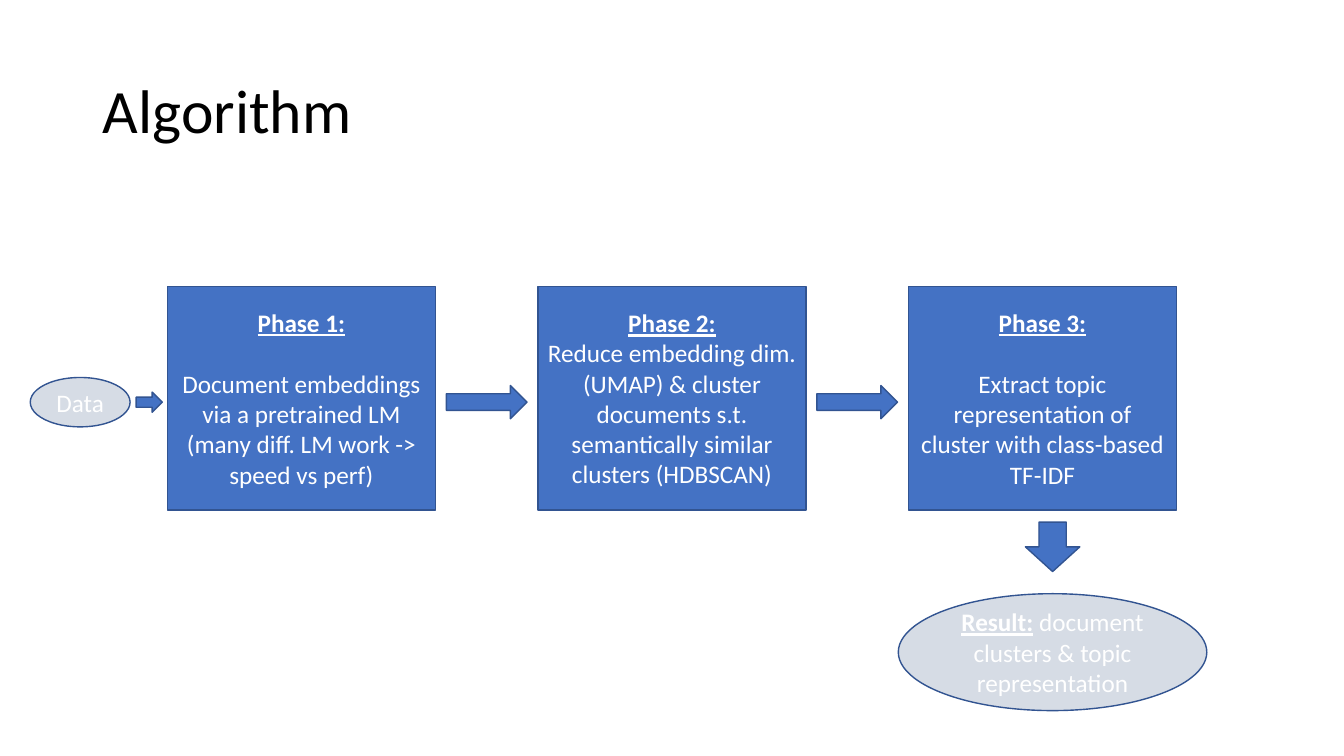
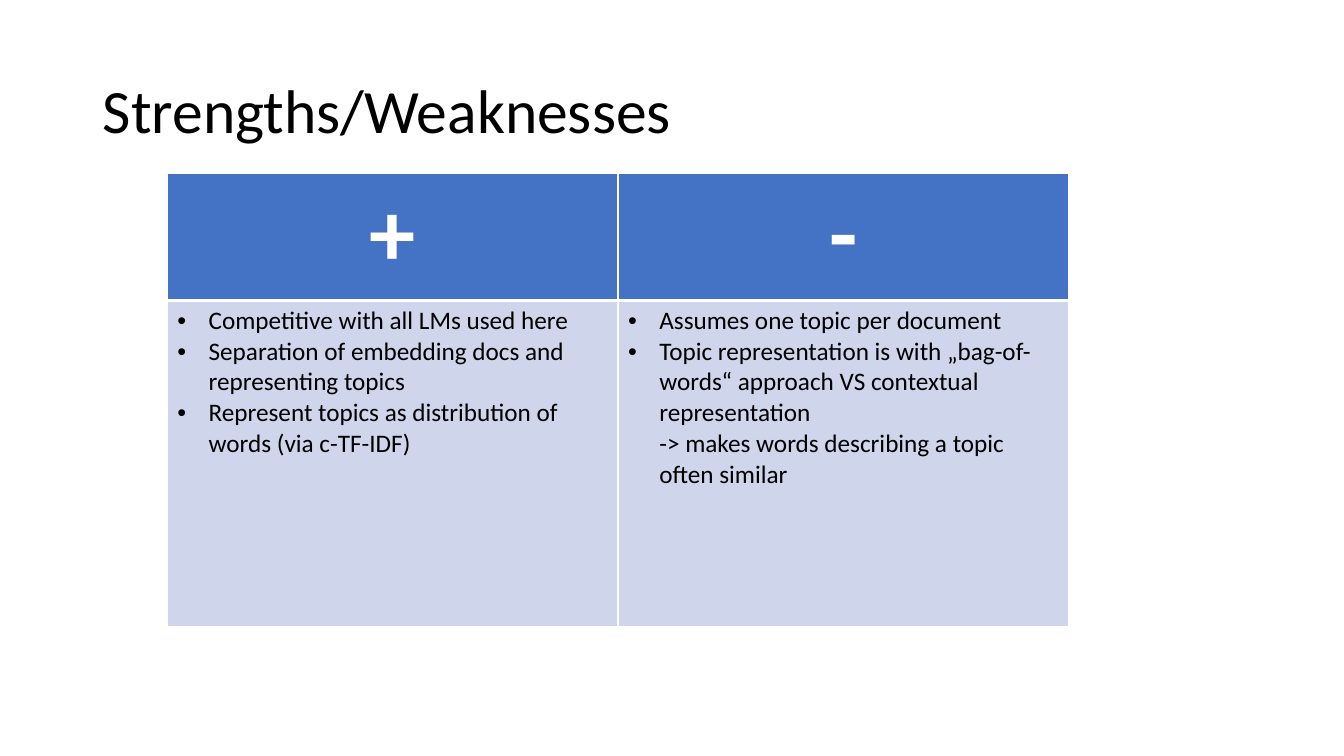
from lxml.etree import SubElement
from pptx import Presentation
from pptx.dml.color import RGBColor
from pptx.enum.shapes import MSO_SHAPE
from pptx.enum.text import MSO_ANCHOR, MSO_AUTO_SIZE, PP_ALIGN
from pptx.oxml import parse_xml
from pptx.oxml.ns import nsdecls, qn
from pptx.util import Inches, Pt

FONT = "Calibri"
BLUE = "4472C4"
OUTLINE = "325491"
PALE_GREY = "D6DCE5"
PALE_BLUE = "CFD5EA"
WHITE = "FFFFFF"
BLACK = "000000"
TITLE_BOX = (0.92, 0.4, 11.5, 1.45)
FLOW_BOX = (0.3, 2.84, 11.67, 4.21)
TABLE_BOX = (1.66, 1.72, 8.94, 4.5)

PHASES = [
    ("Phase 1:", "Document embeddings via a pretrained LM (many diff. LM work -> speed vs perf)", 22),
    ("Phase 2:", "Reduce embedding dim. (UMAP) & cluster documents s.t. semantically similar clusters (HDBSCAN)", 0),
    ("Phase 3:", "Extract topic representation of cluster with class-based TF-IDF", 22),
]
COLUMNS = [
    ("+", [
        ["Competitive with all LMs used here"],
        ["Separation of embedding docs and representing topics"],
        ["Represent topics as distribution of words (via c-TF-IDF)"],
    ]),
    ("-", [
        ["Assumes one topic per document"],
        ["Topic representation is with „bag-of-words“ approach VS contextual representation",
         "-> makes words describing a topic often similar"],
    ]),
]


def color(value):
    return RGBColor.from_string(value)


def add_span(para, text, size=18, fill=WHITE, strong=False, underline=False):
    span = para.add_run()
    span.text = text
    span.font.name = FONT
    span.font.size = Pt(size)
    span.font.color.rgb = color(fill)
    span.font.bold = strong
    span.font.underline = underline


def add_page(deck, title):
    page = deck.slides.add_slide(deck.slide_layouts[5])
    box = page.shapes.title
    box.left, box.top, box.width, box.height = map(Inches, TITLE_BOX)
    frame = box.text_frame
    frame.auto_size = MSO_AUTO_SIZE.NONE
    frame.vertical_anchor = MSO_ANCHOR.MIDDLE
    para = frame.paragraphs[0]
    para.alignment = PP_ALIGN.LEFT
    para.line_spacing = 0.9
    add_span(para, title, 44, BLACK)
    return page


def add_node(page, kind, left, top, width, height, fill=BLUE):
    node = page.shapes.add_shape(kind, *map(Inches, (left, top, width, height)))
    node.shadow.inherit = False
    node.fill.solid()
    node.fill.fore_color.rgb = color(fill)
    node.line.color.rgb = color(OUTLINE)
    node.line.width = Pt(1)
    frame = node.text_frame
    frame.word_wrap = True
    frame.vertical_anchor = MSO_ANCHOR.MIDDLE
    frame.paragraphs[0].alignment = PP_ALIGN.CENTER
    return node


def add_phase(page, left, top, width, height, heading, body, gap):
    frame = add_node(page, MSO_SHAPE.RECTANGLE, left, top, width, height).text_frame
    para = frame.paragraphs[0]
    para.space_after = Pt(gap)
    add_span(para, heading, strong=True, underline=True)
    para = frame.add_paragraph()
    para.alignment = PP_ALIGN.CENTER
    add_span(para, body)


def add_flow(page, box):
    left, top, width, height = box
    phase_width, phase_height, phase_step = 2.66, 2.22, 3.675
    arrow_width, arrow_height = 0.8, 0.33
    first_phase = left + 1.36
    axis = top + 1.15

    data = add_node(page, MSO_SHAPE.OVAL, left, axis - 0.245, 0.99, 0.49, PALE_GREY)
    add_span(data.text_frame.paragraphs[0], "Data")
    add_node(page, MSO_SHAPE.RIGHT_ARROW, left + 1.05, axis - 0.1, 0.26, 0.2)

    for index, phase in enumerate(PHASES):
        phase_left = first_phase + index * phase_step
        add_phase(page, phase_left, top, phase_width, phase_height, *phase)
        if index:
            arrow_left = phase_left - (phase_step - phase_width + arrow_width) / 2
            add_node(page, MSO_SHAPE.RIGHT_ARROW, arrow_left, axis - arrow_height / 2,
                     arrow_width, arrow_height)

    result_width, result_height = 3.06, 1.16
    center = left + width - result_width / 2
    add_node(page, MSO_SHAPE.DOWN_ARROW, center - 0.27, top + phase_height + 0.12, 0.54, 0.49)
    result = add_node(page, MSO_SHAPE.OVAL, center - result_width / 2,
                      top + height - result_height, result_width, result_height, PALE_GREY)
    para = result.text_frame.paragraphs[0]
    add_span(para, "Result:", strong=True, underline=True)
    add_span(para, " document clusters & topic representation")


def style_cell(cell, fill, top=1, bottom=1):
    cell.fill.solid()
    cell.fill.fore_color.rgb = color(fill)
    properties = cell._tc.get_or_add_tcPr()
    for index, (side, width) in enumerate(zip("LRTB", (1, 1, top, bottom))):
        properties.insert(index, parse_xml(
            f'<a:ln{side} {nsdecls("a")} w="{Pt(width)}"><a:solidFill>'
            f'<a:srgbClr val="{WHITE}"/></a:solidFill></a:ln{side}>'))


def add_bullet(para, lines):
    properties = para._p.get_or_add_pPr()
    properties.set("marL", str(Inches(0.31)))
    properties.set("indent", str(Inches(-0.31)))
    SubElement(properties, qn("a:buFont")).set("typeface", "Arial")
    SubElement(properties, qn("a:buChar")).set("char", "•")
    for index, line in enumerate(lines):
        if index:
            para.add_line_break()
        add_span(para, line, fill=BLACK)


def add_comparison(page, box):
    left, top, width, height = box
    header_height = 1.26
    table = page.shapes.add_table(2, len(COLUMNS), *map(Inches, box)).table
    table.rows[0].height = Inches(header_height)
    table.rows[1].height = Inches(height - header_height)
    for index, (heading, bullets) in enumerate(COLUMNS):
        table.columns[index].width = Inches(width / len(COLUMNS))
        header, body = table.cell(0, index), table.cell(1, index)
        style_cell(header, BLUE, bottom=3)
        style_cell(body, PALE_BLUE, top=3)
        para = header.text_frame.paragraphs[0]
        para.alignment = PP_ALIGN.CENTER
        add_span(para, heading, 66, strong=True)
        frame = body.text_frame
        for number, lines in enumerate(bullets):
            add_bullet(frame.add_paragraph() if number else frame.paragraphs[0], lines)


def main():
    deck = Presentation()
    deck.slide_width = Inches(13.33)
    deck.slide_height = Inches(7.5)
    add_flow(add_page(deck, "Algorithm"), FLOW_BOX)
    add_comparison(add_page(deck, "Strengths/Weaknesses"), TABLE_BOX)
    deck.save("out.pptx")


if __name__ == "__main__":
    main()
